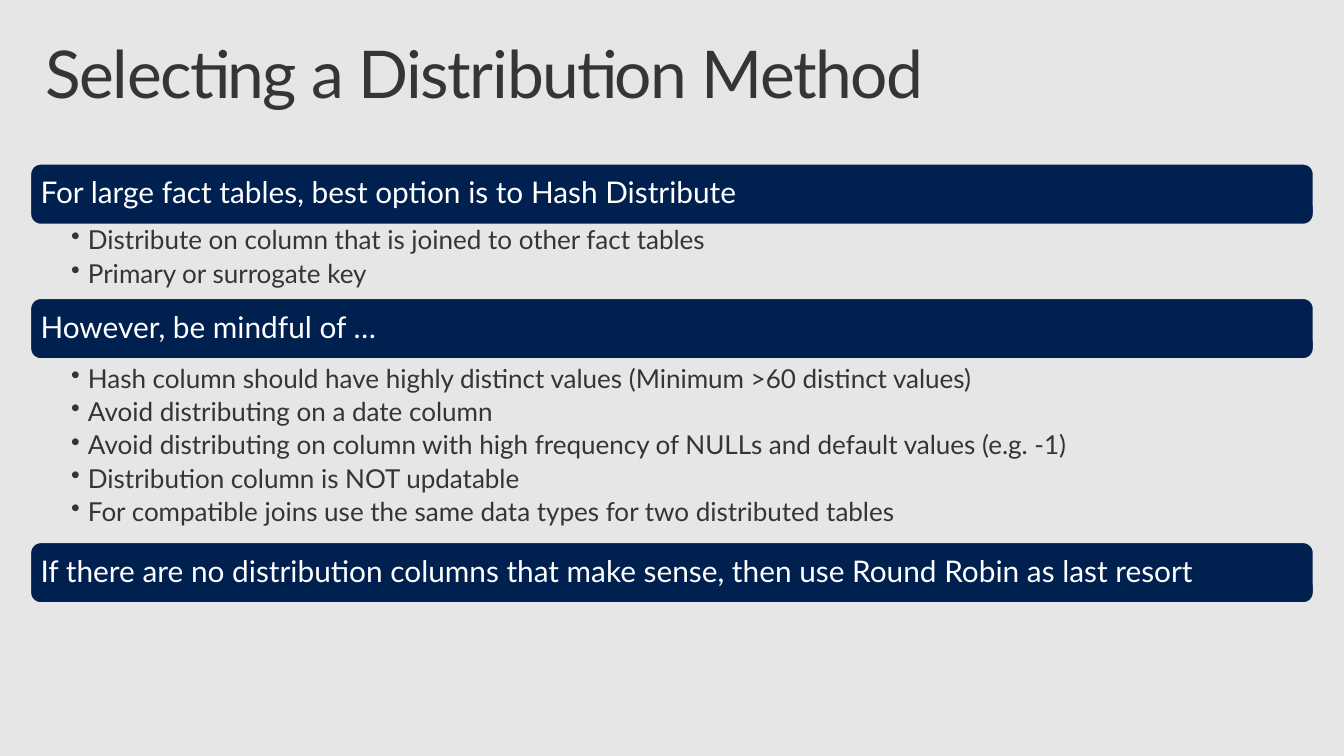
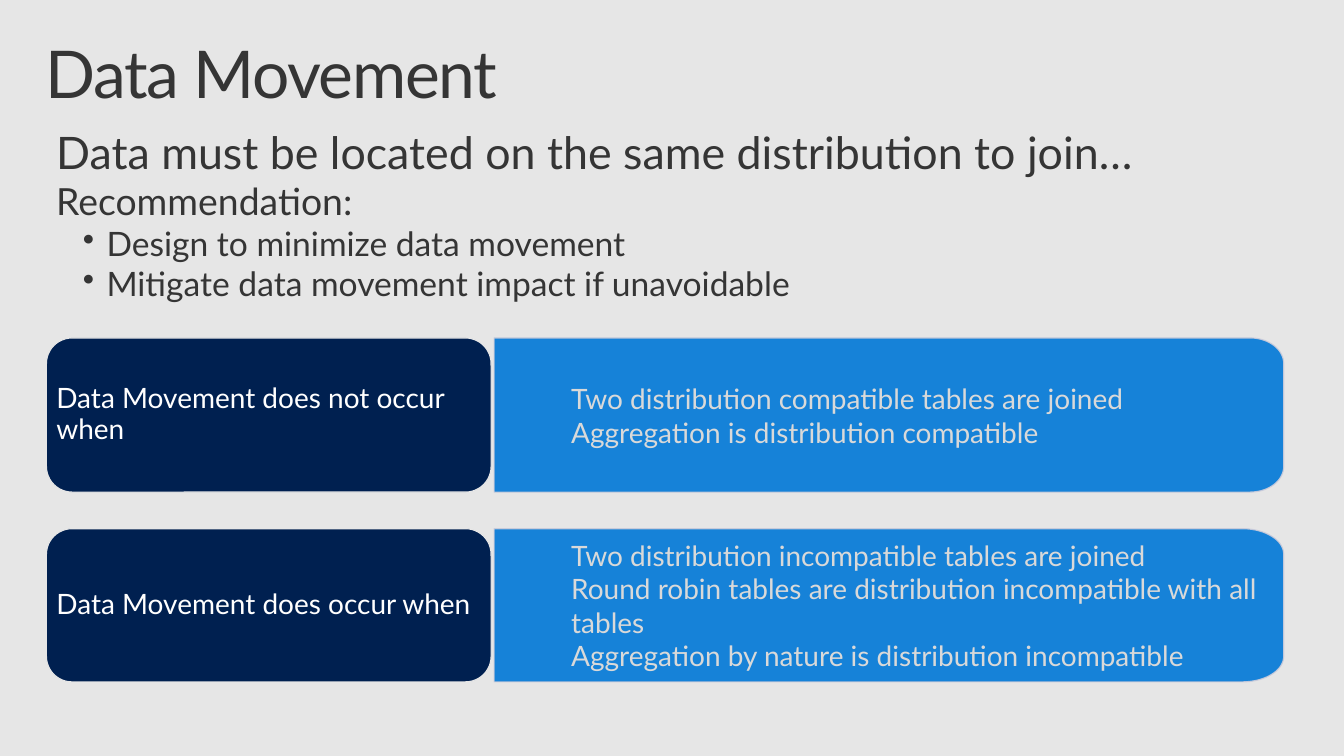
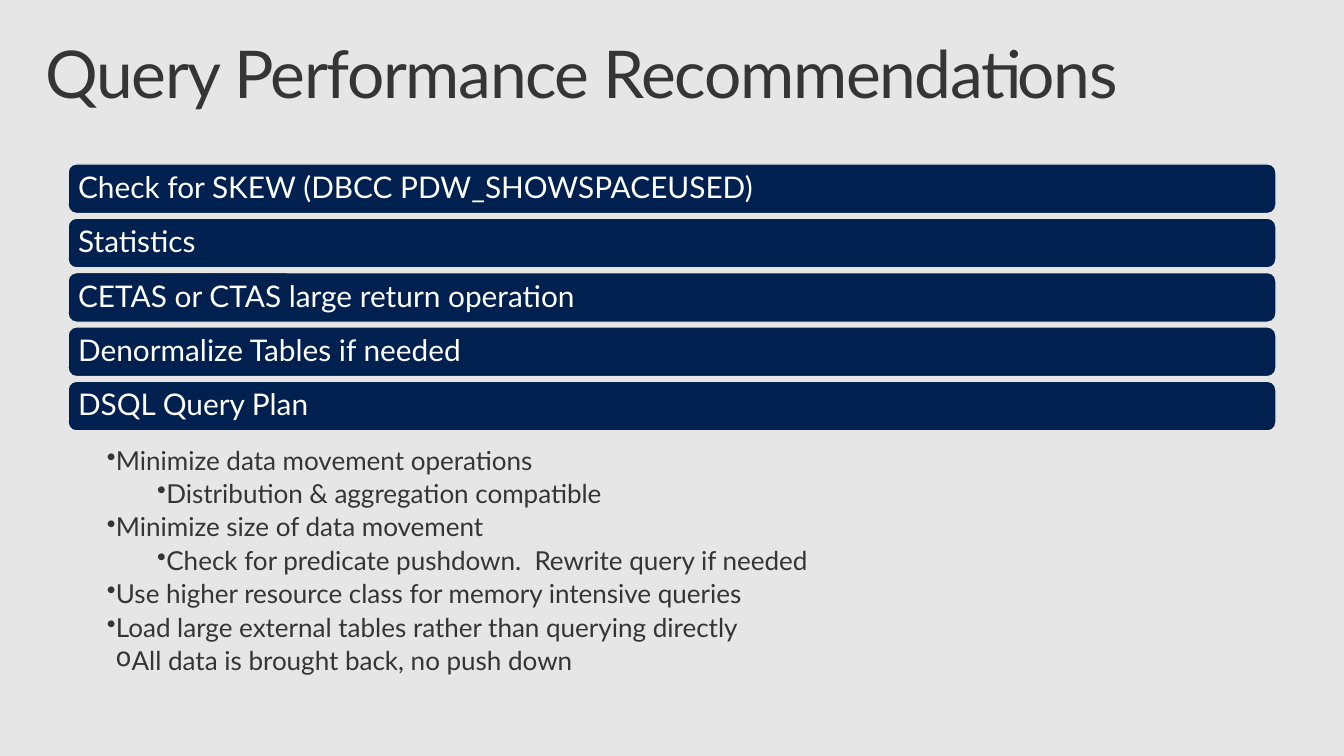
import math

from lxml import etree
from pptx import Presentation
from pptx import util as u
from pptx.dml.color import RGBColor
from pptx.enum import shapes, text
from pptx.oxml.ns import qn

# Colours and styles
PAPER = RGBColor(0xE6, 0xE6, 0xE6)
INK = RGBColor(0x35, 0x35, 0x35)
NAVY = RGBColor(0x00, 0x20, 0x50)
BLUE = RGBColor(0x00, 0x78, 0xD7)
EDGE = RGBColor(0xCC, 0xCC, 0xDB)
WHITE = RGBColor(0xFF, 0xFF, 0xFF)
SILVER = RGBColor(0xD9, 0xD9, 0xD9)
FONT = "Lato"

TIGHT = {"line_spacing": 0.9}
LIST = {"line_spacing": 0.9, "space_after": u.Pt(3.8)}
# Level: (left margin, first line indent, bullet), in inches
HANGING = {1: (0.17, -0.17, "•")}
NARROW = {1: (0.08, -0.08, "•"), 2: (0.59, -0.08, "•"), 3: (0.17, -0.08, "o")}
INTRO_LEVELS = {1: (0.51, -0.24, "•")}
PLAIN = {1: (0.51, 0, None)}

# Content
METHOD = ("Selecting a Distribution Method", [
    # (bar top, heading, list top, list height, bullets)
    (1.66, "For large fact tables, best option is to Hash Distribute", 2.27, 0.66, [
        "Distribute on column that is joined to other fact tables",
        "Primary or surrogate key"]),
    (3.02, "However, be mindful of …", 3.67, 1.67, [
        "Hash column should have highly distinct values (Minimum >60 distinct values)",
        "Avoid distributing on a date column",
        "Avoid distributing on column with high frequency of NULLs and default values (e.g. -1)",
        "Distribution column is NOT updatable",
        "For compatible joins use the same data types for two distributed tables"]),
    (5.49, "If there are no distribution columns that make sense, "
           "then use Round Robin as last resort", None, None, []),
])

MOVEMENT = ("Data Movement", [
    # (text, size, level)
    ("Data must be located on the same distribution to join…", 32.6, 0),
    ("Recommendation:", 27.2, 0),
    ("Design to minimize data movement", 24.5, 1),
    ("Mitigate data movement impact if unavoidable", 24.5, 1),
], [
    # (top, height, corner width, heading, cases)
    (3.42, 1.56, 0.34, "Data Movement does not occur when", [
        "Two distribution compatible tables are joined",
        "Aggregation is distribution compatible"]),
    (5.35, 1.55, 0.42, "Data Movement does occur when", [
        "Two distribution incompatible tables are joined",
        "Round robin tables are distribution incompatible with all tables",
        "Aggregation by nature is distribution incompatible"]),
])

QUERY = ("Query Performance Recommendations", [
    "Check for SKEW (DBCC PDW_SHOWSPACEUSED)",
    "Statistics",
    "CETAS or CTAS large return operation",
    "Denormalize Tables if needed",
    "DSQL Query Plan",
], [
    # (text, level)
    ("Minimize data movement operations", 1),
    ("Distribution & aggregation compatible", 2),
    ("Minimize size of data movement", 1),
    ("Check for predicate pushdown.  Rewrite query if needed", 2),
    ("Use higher resource class for memory intensive queries", 1),
    ("Load large external tables rather than querying directly", 1),
    ("All data is brought back, no push down", 3),
])


def write(sp, items, color, inset, fmt=TIGHT, levels=None, middle=False):
    """Fill a shape with (text, size, level) paragraphs; inset is (side, top)."""
    tf = sp.text_frame
    side, top = (u.Inches(v) for v in inset[:2])
    right = u.Inches(inset[2]) if len(inset) > 2 else side
    anchor = text.MSO_ANCHOR.MIDDLE if middle else text.MSO_ANCHOR.TOP
    frame = {"word_wrap": True, "vertical_anchor": anchor, "margin_left": side,
             "margin_right": right, "margin_top": top, "margin_bottom": top}
    for name, value in frame.items():
        setattr(tf, name, value)
    for i, (words, size, level) in enumerate(items):
        p = tf.add_paragraph() if i else tf.paragraphs[0]
        for name, value in {"alignment": text.PP_ALIGN.LEFT, "level": level, **fmt}.items():
            setattr(p, name, value)
        r = p.add_run()
        r.text = words
        for name, value in {"name": FONT, "size": u.Pt(size)}.items():
            setattr(r.font, name, value)
        r.font.color.rgb = color
        if level:
            left, indent, bullet = levels[level]
            pPr = p._p.get_or_add_pPr()
            pPr.set("marL", str(u.Inches(left)))
            pPr.set("indent", str(u.Inches(indent)))
            if bullet:
                etree.SubElement(pPr, qn("a:buChar")).set("char", bullet)
    return tf


def paint(sp, fill, line):
    sp.shadow.inherit = False
    sp.fill.solid()
    sp.fill.fore_color.rgb = fill
    sp.line.color.rgb = line
    sp.line.width = u.Pt(0.85)


def box(s, at):
    return s.shapes.add_textbox(*map(u.Inches, at))


def new_slide(prs, title):
    s = prs.slides.add_slide(prs.slide_layouts[6])
    tf = write(box(s, (0.3, 0.32, 13, 1)), [(title, 48, 0)], INK, (0.16, 0.1))
    tf.paragraphs[0].runs[0].font._element.set("spc", "-100")
    return s


def bar(s, at, words, size=21.7):
    """Navy rounded bar with its text 0.1 inch from the edge."""
    sp = s.shapes.add_shape(shapes.MSO_SHAPE.ROUNDED_RECTANGLE, *map(u.Inches, at))
    paint(sp, NAVY, PAPER)
    corner = at[3] / 6
    inset = 0.1 - 0.29 * corner
    write(sp, [(words, size, 0)], WHITE, (inset, inset), middle=True)


def case_panel(s, at, corner_w, cases):
    """Blue panel, square on the left and rounded on the right."""
    x, y, w, h = at
    corner_h = h / 6
    pts = [(x, y)]
    for start, cy in ((-90, y + corner_h), (0, y + h - corner_h)):
        for step in range(0, 91, 5):
            a = math.radians(start + step)
            pts.append((x + w - corner_w + corner_w * math.cos(a),
                        cy + corner_h * math.sin(a)))
    pts.append((x, y + h))
    pts = [(u.Inches(px), u.Inches(py)) for px, py in pts]
    fb = s.shapes.build_freeform(*pts[0], scale=1.0)
    fb.add_line_segments(pts[1:], close=True)
    sp = fb.convert_to_shape()
    paint(sp, BLUE, EDGE)
    for clr in sp._element.spPr.iter(qn("a:srgbClr")):
        etree.SubElement(clr, qn("a:alpha")).set("val", "90000")
    write(sp, [(c, 20.4, 1) for c in cases], SILVER, (0.27, 0.14), {}, PLAIN, True)


def method_slide(prs):
    title, groups = METHOD
    s = new_slide(prs, title)
    x, w = 0.31, 12.98
    for top, heading, list_top, list_h, bullets in groups:
        bar(s, (x, top, w, 0.61), heading)
        if bullets:
            write(box(s, (x, list_top, w, list_h)), [(b, 19, 1) for b in bullets],
                  INK, (0.41, 0.03, 0.17), LIST, HANGING)


def movement_slide(prs):
    title, intro, rows = MOVEMENT
    s = new_slide(prs, title)
    write(box(s, (0.47, 1.21, 11.8, 2.03)), intro, INK, (0.1, 0.05), {}, INTRO_LEVELS)
    for top, h, corner_w, heading, cases in rows:
        case_panel(s, (5, top, 7.99, h), corner_w, cases)
        bar(s, (0.47, top, 4.5, h), heading, 20.4)


def query_slide(prs):
    title, checks, tips = QUERY
    s = new_slide(prs, title)
    x, w = 0.69, 12.22
    for i, check in enumerate(checks):
        bar(s, (x, 1.66 + 0.55 * i, w, 0.5), check)
    write(box(s, (x, 4.51, w, 2.89)), [(t, 19, level) for t, level in tips],
          INK, (0.39, 0.02, 0.14), LIST, NARROW)


def main():
    prs = Presentation()
    prs.slide_width, prs.slide_height = u.Inches(13.6), u.Inches(7.65)
    fill = prs.slide_master.background.fill
    fill.solid()
    fill.fore_color.rgb = PAPER
    for build in (method_slide, movement_slide, query_slide):
        build(prs)
    prs.save("out.pptx")


if __name__ == "__main__":
    main()
